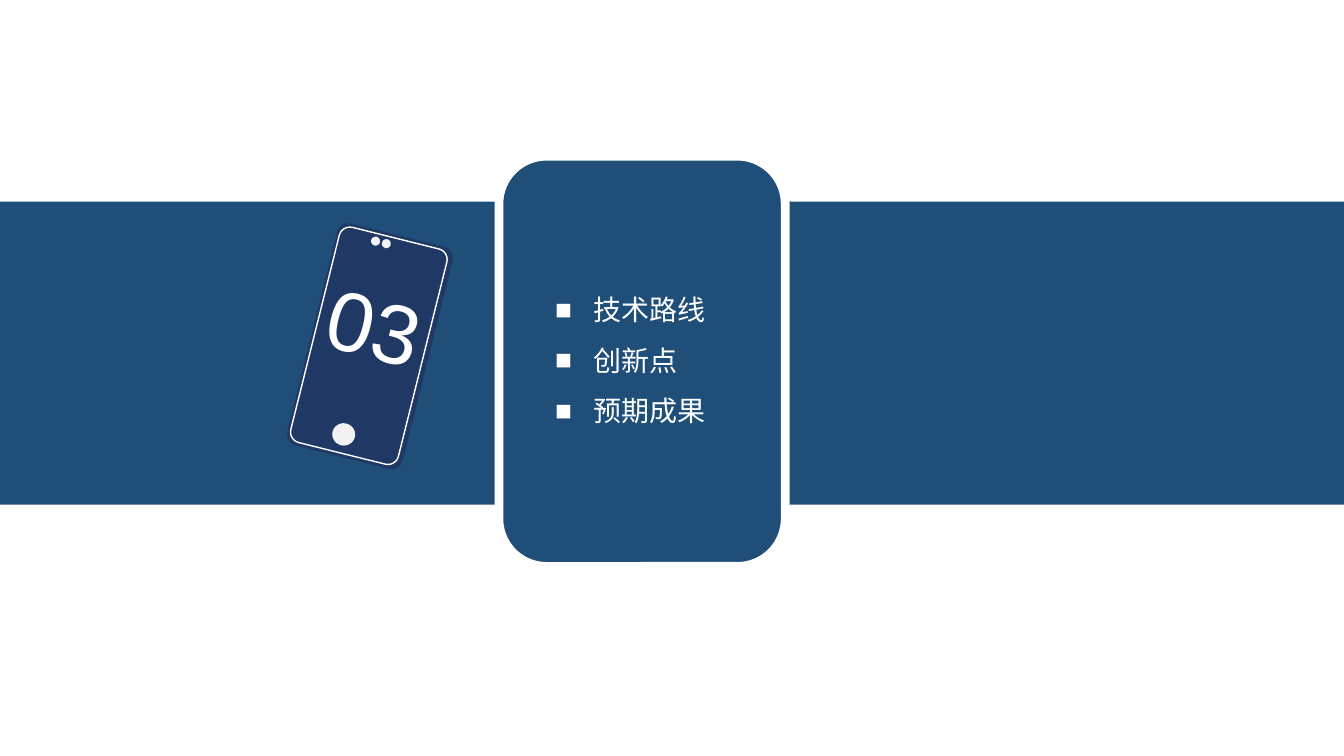
from lxml.etree import SubElement
from pptx import Presentation
from pptx.dml.color import RGBColor
from pptx.enum.shapes import MSO_SHAPE as Shape
from pptx.oxml.ns import qn
from pptx.util import Pt

COLORS = {"band": "1F4E79", "phone": "203864", "white": "FFFFFF", "button": "F2F2F2"}
SECTION_NUMBER = "03"
TOPIC_BOXES = [
    ((389.5, 193.7, 122, 80), ["技术路线", "创新点"]),
    ((389.5, 265.7, 122, 76), ["预期成果"]),
]

# Left, top, width, height in points
BAND = (-1.5, 144, 963, 216.5)
CARD = (356.4, 111.6, 204.5, 293)
PHONE_BODY = (221.8, 165.6, 85, 163.4)
PHONE_SCREEN = (223.9, 167.8, 79.2, 158.4)
PHONE_NUMBER = (226.8, 193.7, 92.2, 80)
PHONE_BUTTONS = [
    (237.3, 302.3, 16.4, 16),
    (265, 169, 6.5, 6.5),
    (272.7, 170.8, 6.5, 6.5),
]
PHONE_TILT = 14
PHONE_CORNER = 0.098
BULLET_INDENT = Pt(27)


def color(name):
    return RGBColor.from_string(COLORS[name])


def add_shape(shapes, kind, box, fill=None, line=None, line_width=1, tilt=0, corner=None):
    shape = shapes.add_shape(kind, *map(Pt, box))
    shape.shadow.inherit = False
    shape.rotation = tilt
    if corner is not None:
        shape.adjustments[0] = corner
    if fill:
        shape.fill.solid()
        shape.fill.fore_color.rgb = color(fill)
    else:
        shape.fill.background()
    if line:
        shape.line.color.rgb = color(line)
        shape.line.width = Pt(line_width)
    else:
        shape.line.fill.background()


def style_font(paragraph, name, size):
    paragraph.font.name = name
    paragraph.font.size = Pt(size)
    paragraph.font.color.rgb = color("white")


def add_bullet(paragraph):
    properties = paragraph._p.get_or_add_pPr()
    properties.set("marL", str(BULLET_INDENT))
    properties.set("indent", str(-BULLET_INDENT))
    SubElement(properties, qn("a:buFont")).set("typeface", "Arial")
    SubElement(properties, qn("a:buChar")).set("char", "■")


def add_phone(slide):
    shapes = slide.shapes.add_group_shape().shapes
    add_shape(shapes, Shape.ROUNDED_RECTANGLE, PHONE_BODY, fill="phone",
              tilt=PHONE_TILT, corner=PHONE_CORNER)
    add_shape(shapes, Shape.ROUNDED_RECTANGLE, PHONE_SCREEN, line="white",
              tilt=PHONE_TILT, corner=PHONE_CORNER)
    number = shapes.add_textbox(*map(Pt, PHONE_NUMBER))
    number.rotation = PHONE_TILT
    number.text_frame.word_wrap = True
    number.text_frame.text = SECTION_NUMBER
    style_font(number.text_frame.paragraphs[0], "Arial", 60)
    for button in PHONE_BUTTONS:
        add_shape(shapes, Shape.OVAL, button, fill="button", tilt=PHONE_TILT)


def add_topics(slide, box, topics):
    frame = slide.shapes.add_textbox(*map(Pt, box)).text_frame
    frame.word_wrap = False
    frame.text = "\n".join(topics)
    for paragraph in frame.paragraphs:
        paragraph.line_spacing = 1.5
        add_bullet(paragraph)
        style_font(paragraph, "Calibri", 20)


def main():
    presentation = Presentation()
    presentation.slide_width, presentation.slide_height = Pt(960), Pt(540)
    slide = presentation.slides.add_slide(presentation.slide_layouts[6])
    add_shape(slide.shapes, Shape.RECTANGLE, BAND, fill="band")
    add_phone(slide)
    add_shape(slide.shapes, Shape.ROUNDED_RECTANGLE, CARD, fill="band",
              line="white", line_width=6.25)
    for box, topics in TOPIC_BOXES:
        add_topics(slide, box, topics)
    presentation.save("out.pptx")


if __name__ == "__main__":
    main()
